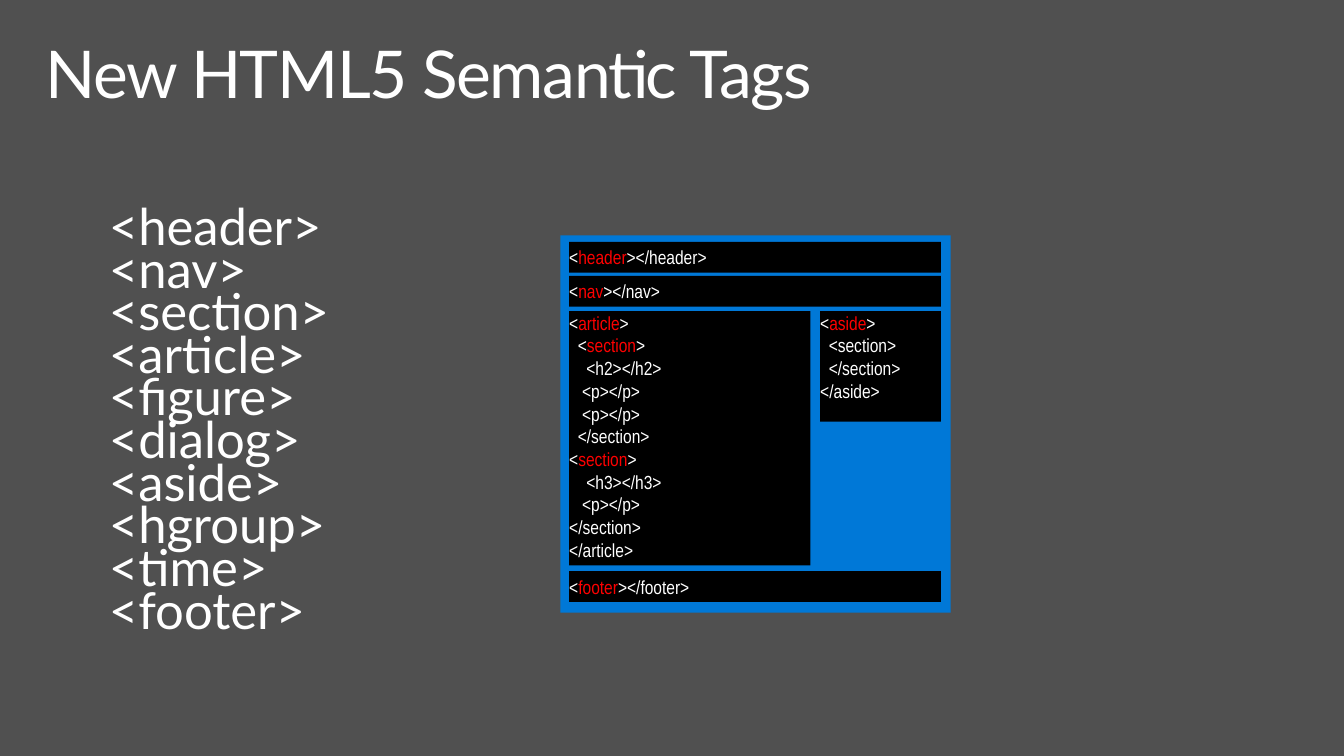
from pptx import Presentation
from pptx.dml.color import RGBColor
from pptx.enum.shapes import MSO_SHAPE
from pptx.enum.text import MSO_ANCHOR, PP_ALIGN
from pptx.util import Cm, Pt

RECTANGLE = MSO_SHAPE.RECTANGLE
TOP, MIDDLE = MSO_ANCHOR.TOP, MSO_ANCHOR.MIDDLE
LEFT = PP_ALIGN.LEFT

GRAY = RGBColor(0x50, 0x50, 0x50)
WHITE = RGBColor(0xFF, 0xFF, 0xFF)
BLACK = RGBColor(0x00, 0x00, 0x00)
BLUE = RGBColor(0x00, 0x78, 0xD7)
RED = RGBColor(0xFF, 0x00, 0x00)

TITLE_FONT = {"name": "Lato", "size": Pt(48)}
LIST_FONT = {"name": "Lato", "size": Pt(37)}
CODE_FONT = {"name": "Arial Narrow", "size": Pt(13.8)}

TAGS = ["header", "nav", "section", "article", "figure",
        "dialog", "aside", "hgroup", "time", "footer"]

INNER_LEFT, INNER_WIDTH = 14.63, 9.55
BAR_HEIGHT = 0.79
BAR_TOPS = {"header": 6.22, "nav": 7.09, "footer": 14.68}
COLUMN_TOP = 8.0
INDENT_STEP = 0.11

# Each code line is (indent steps, text); text between bars is highlighted.
ARTICLE_LINES = [
    (0, "<|article|>"),
    (2, "<|section|>"),
    (4, "<h2></h2>"),
    (3, "<p></p>"),
    (3, "<p></p>"),
    (2, "</section>"),
    (0, "<|section|>"),
    (4, "<h3></h3>"),
    (3, "<p></p>"),
    (0, "</section>"),
    (0, "</article>"),
]
ASIDE_LINES = [
    (0, "<|aside|>"),
    (2, "<section>"),
    (2, "</section>"),
    (0, "</aside>"),
]


def set_format(target, values):
    for name, value in values.items():
        setattr(target, name, value)


def set_frame(frame, side, end, anchor):
    set_format(frame, {
        "word_wrap": True, "vertical_anchor": anchor,
        "margin_left": Cm(side), "margin_right": Cm(side),
        "margin_top": Cm(end), "margin_bottom": Cm(end),
    })


def add_lines(frame, lines, font, line_spacing=1.0):
    for index, (steps, text) in enumerate(lines):
        para = frame.paragraphs[0] if index == 0 else frame.add_paragraph()
        set_format(para, {"alignment": LEFT, "line_spacing": line_spacing})
        if steps:
            para._p.get_or_add_pPr().set("marL", str(Cm(steps * INDENT_STEP)))
        for position, part in enumerate(text.split("|")):
            span = para.add_run()
            span.text = part
            set_format(span.font, font)
            span.font.color.rgb = RED if position % 2 else WHITE


def add_text(page, area, lines, font, line_spacing):
    box = page.shapes.add_textbox(*map(Cm, area))
    set_frame(box.text_frame, 0.41, 0.25, TOP)
    add_lines(box.text_frame, lines, font, line_spacing)
    return box


def add_panel(page, area, color):
    panel = page.shapes.add_shape(RECTANGLE, *map(Cm, area))
    panel.shadow.inherit = False
    panel.fill.solid()
    panel.fill.fore_color.rgb = color
    panel.line.fill.background()
    return panel


def add_code(page, area, lines, anchor=TOP):
    panel = add_panel(page, area, BLACK)
    set_frame(panel.text_frame, 0, 0, anchor)
    add_lines(panel.text_frame, lines, CODE_FONT)


def main():
    deck = Presentation()
    set_format(deck, {"slide_width": Cm(34.54), "slide_height": Cm(19.43)})
    page = deck.slides.add_slide(deck.slide_layouts[6])
    page.background.fill.solid()
    page.background.fill.fore_color.rgb = GRAY

    title = add_text(page, (0.76, 0.81, 33.02, 2.54),
                     [(0, "New HTML5 Semantic Tags")], TITLE_FONT, 0.9)
    title_span = title.text_frame.paragraphs[0].runs[0]
    title_span._r.get_or_add_rPr().set("spc", "-100")
    add_text(page, (2.39, 5.18, 29.79, 12.32),
             [(0, f"<{tag}>") for tag in TAGS], LIST_FONT, 0.7)

    add_panel(page, (14.4, 6.05, 10.03, 9.7), BLUE)
    for tag, top in BAR_TOPS.items():
        add_code(page, (INNER_LEFT, top, INNER_WIDTH, BAR_HEIGHT),
                 [(0, f"<|{tag}|></{tag}>")], MIDDLE)
    add_code(page, (INNER_LEFT, COLUMN_TOP, 6.2, 6.53), ARTICLE_LINES)
    add_code(page, (21.08, COLUMN_TOP, 3.1, 2.84), ASIDE_LINES)

    deck.save("out.pptx")


main()
